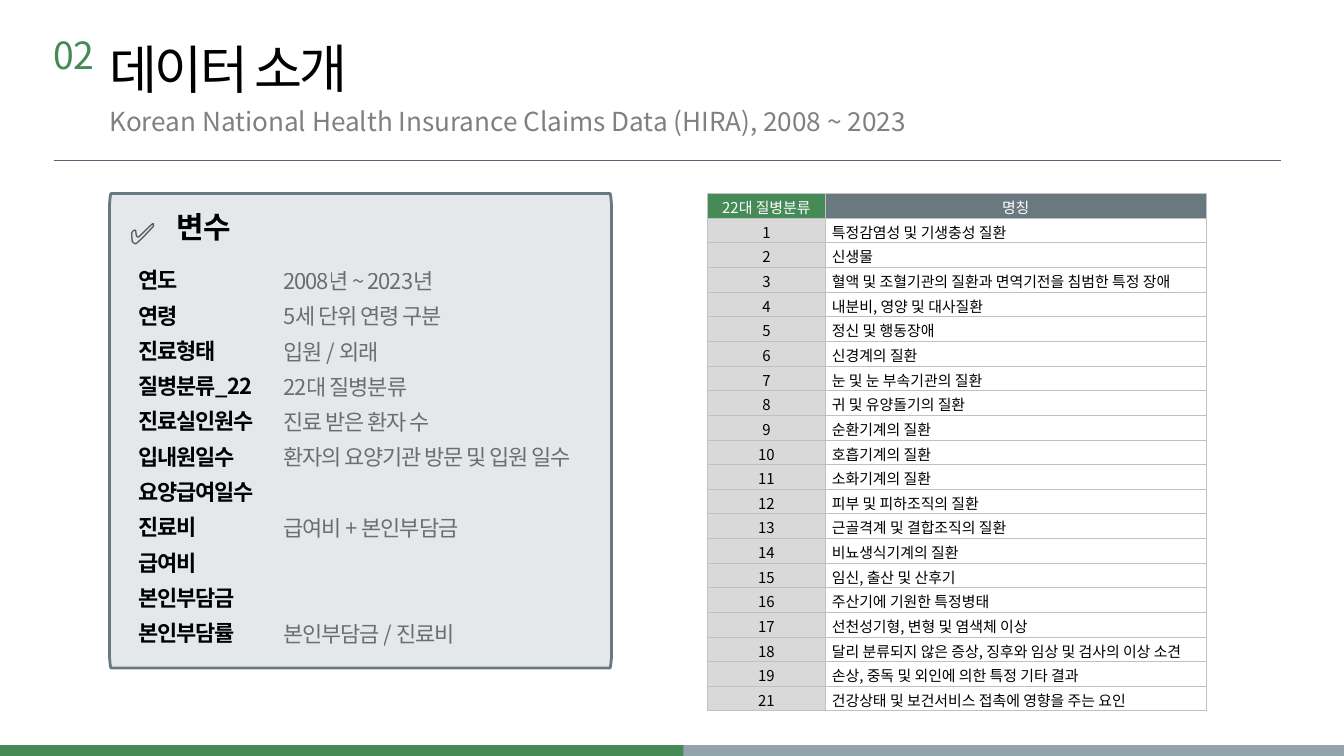
import pptx
import pptx.dml.color
import pptx.enum.shapes
import pptx.enum.text
import pptx.oxml
import pptx.oxml.ns
import pptx.util
from lxml import etree

Inches, Pt = pptx.util.Inches, pptx.util.Pt
RGBColor = pptx.dml.color.RGBColor
PP_ALIGN = pptx.enum.text.PP_ALIGN
qn = pptx.oxml.ns.qn

FONT = "Noto Sans CJK KR"
GREEN = RGBColor(0x46, 0x8A, 0x57)
SLATE = RGBColor(0x6A, 0x78, 0x7F)
MIST = RGBColor(0x94, 0xA4, 0xAD)
CARD = RGBColor(0xE5, 0xE8, 0xEA)
RULE = RGBColor(0x5E, 0x61, 0x75)
BORDER = RGBColor(0xC1, 0xC1, 0xC1)
KEY_FILL = RGBColor(0xD9, 0xD9, 0xD9)
GRAY = RGBColor(0x80, 0x80, 0x80)
INK = RGBColor(0x22, 0x22, 0x22)
BLACK = RGBColor(0, 0, 0)
WHITE = RGBColor(0xFF, 0xFF, 0xFF)

VARIABLES = [
    ("연도", "2008년 ~ 2023년"),
    ("연령", "5세 단위 연령 구분"),
    ("진료형태", "입원 / 외래"),
    ("질병분류_22", "22대 질병분류"),
    ("진료실인원수", "진료 받은 환자 수"),
    ("입내원일수", "환자의 요양기관 방문 및 입원 일수"),
    ("요양급여일수", None),
    ("진료비", "급여비 + 본인부담금"),
    ("급여비", None),
    ("본인부담금", None),
    ("본인부담률", "본인부담금 / 진료비"),
]
DISEASE_HEADER = ("22대 질병분류", "명칭")
DISEASES = [
    ("1", "특정감염성 및 기생충성 질환"),
    ("2", "신생물"),
    ("3", "혈액 및 조혈기관의 질환과 면역기전을 침범한 특정 장애"),
    ("4", "내분비, 영양 및 대사질환"),
    ("5", "정신 및 행동장애"),
    ("6", "신경계의 질환"),
    ("7", "눈 및 눈 부속기관의 질환"),
    ("8", "귀 및 유양돌기의 질환"),
    ("9", "순환기계의 질환"),
    ("10", "호흡기계의 질환"),
    ("11", "소화기계의 질환"),
    ("12", "피부 및 피하조직의 질환"),
    ("13", "근골격계 및 결합조직의 질환"),
    ("14", "비뇨생식기계의 질환"),
    ("15", "임신, 출산 및 산후기"),
    ("16", "주산기에 기원한 특정병태"),
    ("17", "선천성기형, 변형 및 염색체 이상"),
    ("18", "달리 분류되지 않은 증상, 징후와 임상 및 검사의 이상 소견"),
    ("19", "손상, 중독 및 외인에 의한 특정 기타 결과"),
    ("21", "건강상태 및 보건서비스 접촉에 영향을 주는 요인"),
]
LINE_PITCH = 37.8


def style(p, size, color, bold=False, spacing=0, alpha=None):
    """Set the paragraph font; spacing is in points, alpha in percent."""
    p.font.size = Pt(size)
    p.font.bold = bold
    p.font.color.rgb = color
    p.font.name = FONT
    props = p._p.get_or_add_pPr().find(qn("a:defRPr"))
    etree.SubElement(props, qn("a:ea"), typeface=FONT)
    if spacing:
        props.set("spc", str(round(spacing * 100)))
    if alpha:
        clr = props.find(qn("a:solidFill"))[0]
        etree.SubElement(clr, qn("a:alpha"), val=str(alpha * 1000))


def add_text(slide, box, lines, size, color, pitch=None, inset=(0, 0), **font):
    """Add one paragraph per line; None leaves an empty line as space before."""
    sp = slide.shapes.add_textbox(*map(Inches, box))
    tf = sp.text_frame
    tf.word_wrap = True
    tf.margin_left = tf.margin_right = Inches(inset[0])
    tf.margin_top = tf.margin_bottom = Inches(inset[1])
    skipped, p = 0, None
    for line in lines:
        if line is None:
            skipped += 1
            continue
        p = tf.add_paragraph() if p else tf.paragraphs[0]
        p.text = line
        if pitch:
            p.line_spacing = Pt(pitch)
        if skipped:
            p.space_before = Pt(skipped * pitch)
            skipped = 0
        style(p, size, color, **font)
    return sp


def add_bar(slide, width, color):
    sp = slide.shapes.add_shape(pptx.enum.shapes.MSO_SHAPE.RECTANGLE,
                                0, Inches(11.09), Inches(width), Inches(0.17))
    sp.shadow.inherit = False
    sp.fill.solid()
    sp.fill.fore_color.rgb = color
    sp.line.fill.background()


def add_rule(slide):
    line = slide.shapes.add_connector(pptx.enum.shapes.MSO_CONNECTOR.STRAIGHT,
                                      Inches(0.8), Inches(2.38), Inches(19.07), Inches(2.38))
    line.line.color.rgb = RULE
    line.line.width = Pt(0.75)
    etree.SubElement(line._element.spPr, qn("a:effectLst"))


def add_card(slide):
    left, top, right, bottom = 1.63, 2.88, 9.1, 9.94
    corner = [(0, 0.16), (0.01, 0.05), (0.02, 0)]
    points = [(left + x, top + y) for x, y in corner]
    points += [(right - x, top + y) for x, y in reversed(corner)]
    points += [(right - x, bottom - y) for x, y in corner]
    points += [(left + x, bottom - y) for x, y in reversed(corner)]
    outline = [(Inches(x), Inches(y)) for x, y in points]
    builder = slide.shapes.build_freeform(*outline[0])
    builder.add_line_segments(outline[1:], close=True)
    sp = builder.convert_to_shape()
    sp.shadow.inherit = False
    sp.fill.solid()
    sp.fill.fore_color.rgb = CARD
    sp.line.color.rgb = SLATE
    sp.line.width = Pt(3)


def fill_cell(cell, text, fill, color, align):
    cell.margin_top, cell.margin_bottom = Inches(0.04), 0
    cell.vertical_anchor = pptx.enum.text.MSO_ANCHOR.MIDDLE
    props = cell._tc.get_or_add_tcPr()
    for side in ("lnL", "lnR", "lnT", "lnB"):
        ln = etree.SubElement(props, qn(f"a:{side}"), w=str(Pt(0.75)))
        solid = etree.SubElement(ln, qn("a:solidFill"))
        etree.SubElement(solid, qn("a:srgbClr"), val=str(BORDER))
    cell.fill.solid()
    cell.fill.fore_color.rgb = fill
    p = cell.text_frame.paragraphs[0]
    p.text = text
    p.alignment = align
    style(p, 16, color)


def add_disease_table(slide):
    rows = [DISEASE_HEADER] + DISEASES
    table = slide.shapes.add_table(len(rows), 2, Inches(10.53), Inches(2.88),
                                   Inches(7.42), Inches(7.7)).table
    for column, width in zip(table.columns, (1.75, 5.67)):
        column.width = Inches(width)
    for r, row in enumerate(rows):
        header = r == 0
        fills = (GREEN, SLATE) if header else (KEY_FILL, WHITE)
        for c, text in enumerate(row):
            align = PP_ALIGN.CENTER if header or c == 0 else PP_ALIGN.LEFT
            fill_cell(table.cell(r, c), text, fills[c], WHITE if header else BLACK, align)


def main():
    prs = pptx.Presentation()
    prs.slide_width, prs.slide_height = Inches(20), Inches(11.25)
    slide = prs.slides.add_slide(prs.slide_layouts[6])

    add_bar(slide, 20, MIST)
    add_bar(slide, 10.17, GREEN)
    title = add_text(slide, (1.63, 0.61, 6.52, 0.9), ["데이터 소개"], 56, BLACK,
                     pitch=62, spacing=-3.1)
    title.rotation = 359.7
    add_rule(slide)
    add_text(slide, (0.8, 0.78, 1.14, 0.42), ["02"], 40, GREEN, pitch=26.6, spacing=-0.6)
    add_text(slide, (1.63, 1.71, 12.2, 0.66),
             ["Korean National Health Insurance Claims Data (HIRA), 2008 ~ 2023"],
             28, GRAY, pitch=23.1)
    add_disease_table(slide)

    add_card(slide)
    names, meanings = zip(*VARIABLES)
    add_text(slide, (2.06, 3.84, 2.12, 6.44), names, 23.5, BLACK,
             pitch=LINE_PITCH, bold=True, spacing=-1.2)
    add_text(slide, (4.22, 3.85, 6.05, 6.44), meanings, 23.5, INK,
             pitch=LINE_PITCH, spacing=-1.2, alpha=62)
    add_text(slide, (2.63, 3.12, 2.12, 0.59), ["변수"], 32, BLACK,
             pitch=LINE_PITCH, bold=True, spacing=-1.2)
    add_text(slide, (1.83, 3.14, 0.75, 0.71), ["✅"], 32, BLACK,
             inset=(0.1, 0.05), spacing=-1.2, alpha=62)

    prs.save("out.pptx")


if __name__ == "__main__":
    main()
